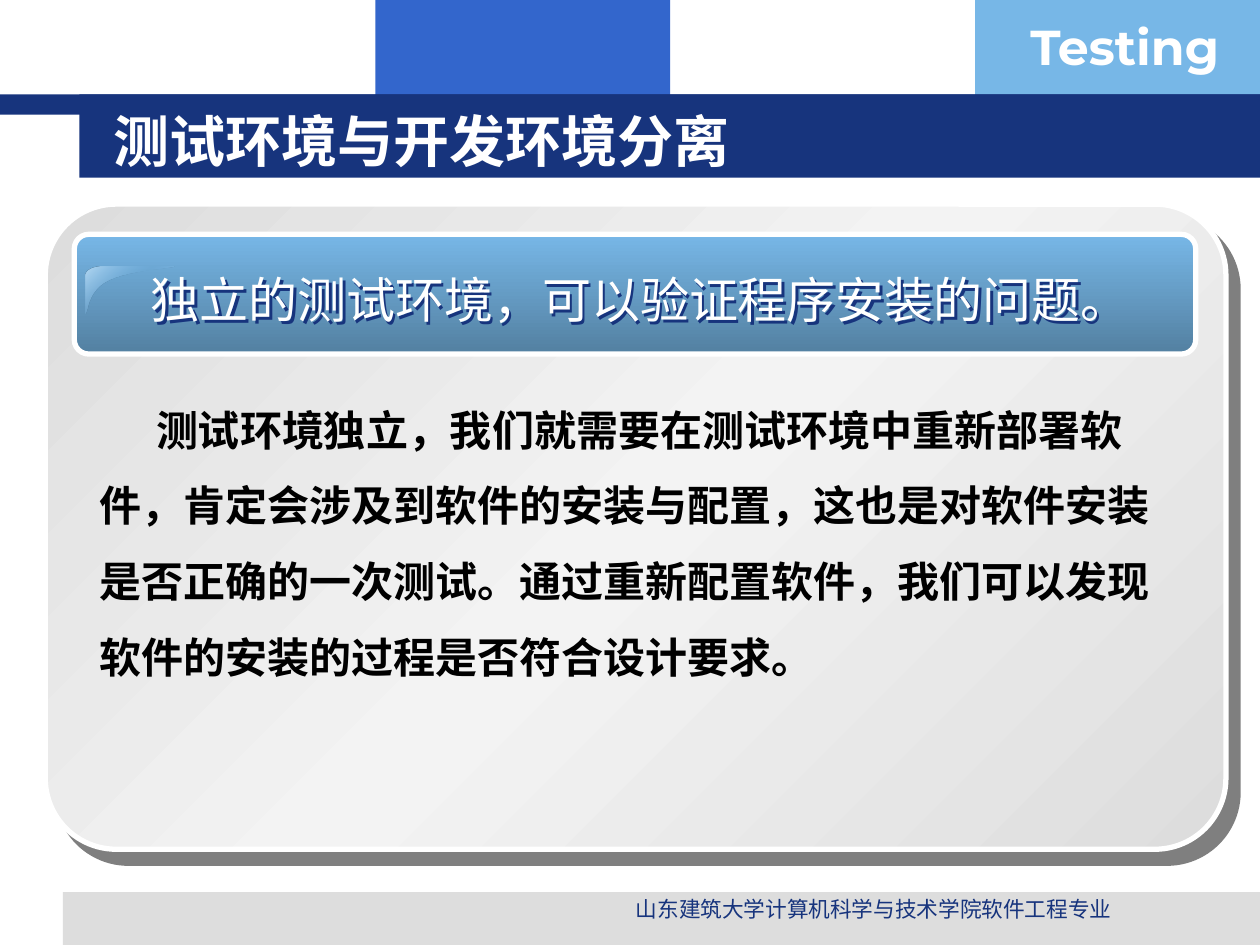
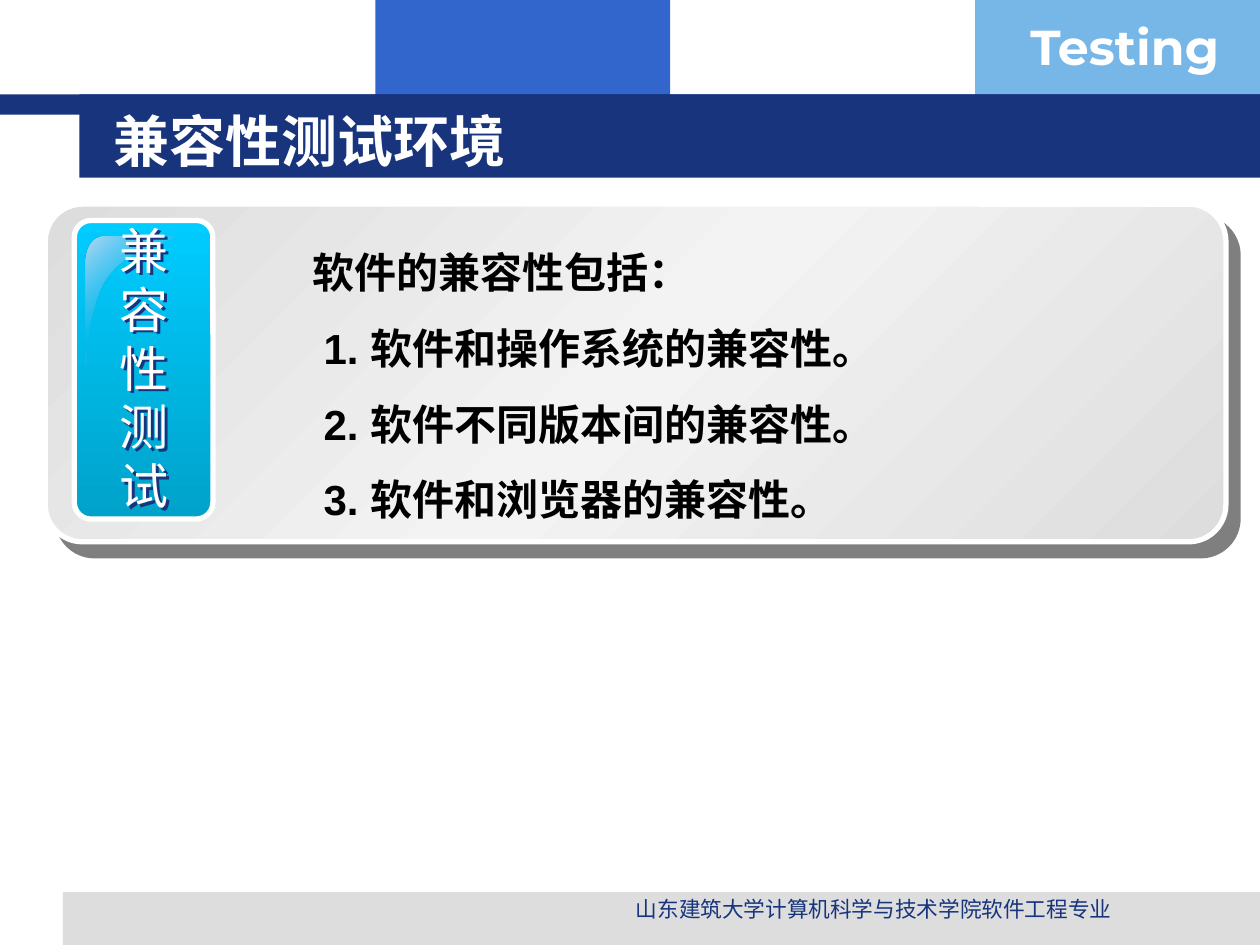
from lxml import etree
from pptx import Presentation
from pptx.dml.color import RGBColor
from pptx.enum.shapes import MSO_SHAPE
from pptx.enum.text import MSO_ANCHOR, MSO_AUTO_SIZE, PP_ALIGN
from pptx.oxml.ns import qn
from pptx.util import Inches, Pt

LEFT, CENTER = PP_ALIGN.LEFT, PP_ALIGN.CENTER
TOP, MIDDLE = MSO_ANCHOR.TOP, MSO_ANCHOR.MIDDLE
RECTANGLE, ROUNDED = MSO_SHAPE.RECTANGLE, MSO_SHAPE.ROUNDED_RECTANGLE

WIDTH, HEIGHT = 10, 7.5
COLORS = {
    "white": "FFFFFF", "black": "000000", "navy": "17347D", "blue": "3366CC",
    "sky": "77B7E7", "steel": "5380A1", "cyan": "00CCFF", "teal": "00A2CA",
    "gray": "DDDDDD", "pale": "F3F3F3", "gloss": "B5D8F2",
}
TITLE_FONT, BODY_FONT, LABEL_FONT = "DejaVu Sans", "Arial", "Montserrat"

# Shared parts: left, top, width, height in inches
BANDS = [
    ("blue", (2.98, 0, 2.34, 0.92)),
    ("sky", (7.74, 0, WIDTH - 7.74, 0.92)),
    ("gray", (0.5, 7.08, WIDTH - 0.5, HEIGHT - 7.08)),
    ("navy", (0, 0.75, WIDTH, 0.16)),
    ("navy", (0.63, 0.75, WIDTH - 0.63, 0.66)),
]
TITLE_AREA = (0.8, 0.8, 8.53, 0.62)
LABEL, LABEL_AREA = "Testing", (8.08, 0.08, 1.93, 0.57)
FOOTER, FOOTER_AREA = "山东建筑大学计算机科学与技术学院软件工程专业", (4.06, 7.06, 5.75, 0.31)
PANEL_LEFT, PANEL_TOP, PANEL_WIDTH = 0.36, 1.62, 9.37
BADGE_LEFT, GLOSS_LEFT, GLOSS_WIDTH = 0.59, 0.68, 0.71

# Body lines: text, first-line indent
SLIDES = [
    {
        "title": "测试环境与开发环境分离",
        "panel_height": 5.12,
        "badge": (1.86, 8.9, 0.95), "badge_colors": ("sky", "steel"),
        "gloss": (2.12, 0.37),
        "heading": "独立的测试环境，可以验证程序安装的问题。",
        "heading_area": (0.67, 2.09, 8.82, 0.57),
        "body_area": (0.69, 2.96, 8.8, 2.5),
        "body": [(
            "测试环境独立，我们就需要在测试环境中重新部署软件，"
            "肯定会涉及到软件的安装与配置，这也是对软件安装是否正确的一次测试。"
            "通过重新配置软件，我们可以发现软件的安装的过程是否符合设计要求。",
            0.45)],
    },
    {
        "title": "兼容性测试环境",
        "panel_height": 2.68,
        "badge": (1.75, 1.1, 2.37), "badge_colors": ("cyan", "teal"),
        "gloss": (1.88, 1.05),
        "heading": "兼容性测试",
        "heading_area": (0.83, 1.7, 0.63, 2.44),
        "body_area": (2.01, 1.71, 6.54, 2.5),
        "body": [
            ("软件的兼容性包括：", 0.37),
            ("1. 软件和操作系统的兼容性。", 0.46),
            ("2. 软件不同版本间的兼容性。", 0.46),
            ("3. 软件和浏览器的兼容性。", 0.46),
        ],
    },
]

# Gloss outline as shares of its box: a start point, then cubic curves
GLOSS_START = (0.2, 0)
GLOSS_CURVES = [
    ((0.08, 0), (0, 0.09), (0, 0.2)),
    ((0, 0.46), (0, 0.73), (0, 0.99)),
    ((0.04, 1), (0.01, 0.51), (0.27, 0.29)),
    ((0.52, 0.07), (1, 0.05), (0.99, 0)),
]
CURVE_STEPS = 12


def inches(area):
    return [Inches(value) for value in area]


def rgb(color):
    return RGBColor.from_string(COLORS[color])


def add_color(parent, color, opacity=100):
    node = etree.SubElement(parent, qn("a:srgbClr"), val=COLORS[color])
    if opacity < 100:
        etree.SubElement(node, qn("a:alpha"), val=str(opacity * 1000))


def fill_gradient(shape, stops, angle):
    """Fill with (position, color, opacity) stops."""
    shape.fill.gradient()
    gradient = shape.element.spPr.find(qn("a:gradFill"))
    for child in list(gradient):
        gradient.remove(child)
    stop_list = etree.SubElement(gradient, qn("a:gsLst"))
    for position, color, opacity in stops:
        stop = etree.SubElement(stop_list, qn("a:gs"), pos=str(position * 1000))
        add_color(stop, color, opacity)
    etree.SubElement(gradient, qn("a:lin"), ang=str(angle * 60000), scaled="1")


def cast_shadow(shape, color, opacity, distance, angle):
    shape.shadow.inherit = False
    effects = shape.element.spPr.find(qn("a:effectLst"))
    shadow = etree.SubElement(
        effects, qn("a:outerShdw"), dist=str(Pt(distance)),
        dir=str(angle * 60000), algn="ctr", rotWithShape="0")
    add_color(shadow, color, opacity)


def add_band(slide, color, area):
    band = slide.shapes.add_shape(RECTANGLE, *inches(area))
    band.shadow.inherit = False
    band.fill.solid()
    band.fill.fore_color.rgb = rgb(color)
    band.line.fill.background()


def add_rounded(slide, area, ratio, stops, angle):
    box = slide.shapes.add_shape(ROUNDED, *inches(area))
    box.adjustments[0] = ratio
    box.shadow.inherit = False
    fill_gradient(box, stops, angle)
    box.line.color.rgb = rgb("white")
    box.line.width = Pt(3)
    return box


def add_gloss(slide, top, height):
    def place(point):
        return (Inches(GLOSS_LEFT + point[0] * GLOSS_WIDTH),
                Inches(top + point[1] * height))

    points, start = [], GLOSS_START
    for first, second, end in GLOSS_CURVES:
        for step in range(1, CURVE_STEPS + 1):
            t = step / CURVE_STEPS
            u = 1 - t
            points.append(place([
                u**3 * a + 3 * u * u * t * b + 3 * u * t * t * c + t**3 * d
                for a, b, c, d in zip(start, first, second, end)]))
        start = end
    builder = slide.shapes.build_freeform(*place(GLOSS_START))
    builder.add_line_segments(points, close=True)
    gloss = builder.convert_to_shape()
    gloss.shadow.inherit = False
    gloss.line.fill.background()
    fill_gradient(gloss, [(0, "gloss", 100), (50, "sky", 0), (100, "gloss", 100)], 45)


def style_text(box, font, size, color, bold=False, align=LEFT, anchor=TOP):
    frame = box.text_frame
    frame.word_wrap = True
    frame.auto_size = MSO_AUTO_SIZE.NONE
    frame.vertical_anchor = anchor
    for paragraph in frame.paragraphs:
        paragraph.alignment = align
        for span in paragraph.runs:
            span.font.name = font
            span.font.size = Pt(size)
            span.font.bold = bold
            span.font.color.rgb = rgb(color)


def add_text(slide, area, text, *style, **options):
    box = slide.shapes.add_textbox(*inches(area))
    box.text_frame.text = text
    style_text(box, *style, **options)
    return box


def add_body(slide, area, lines):
    """Add bold lines, each with its own indent and no hanging punctuation."""
    box = add_text(slide, area, "\n".join(text for text, _ in lines),
                   BODY_FONT, 24, "black", bold=True)
    for paragraph, (_, indent) in zip(box.text_frame.paragraphs, lines):
        paragraph.line_spacing = 1.5
        properties = paragraph._p.get_or_add_pPr()
        properties.set("marL", "0")
        properties.set("indent", str(Inches(indent)))
        properties.set("hangingPunct", "0")


def add_frame(slide, title_text):
    """Add the bands, label, footer and title that every slide has."""
    for color, area in BANDS:
        add_band(slide, color, area)
    add_text(slide, LABEL_AREA, LABEL, LABEL_FONT, 28, "white", bold=True)
    add_text(slide, FOOTER_AREA, FOOTER, BODY_FONT, 12.4, "navy", align=CENTER)
    title = slide.shapes.title
    title.element.getparent().append(title.element)
    title.left, title.top, title.width, title.height = inches(TITLE_AREA)
    title.text_frame.text = title_text
    style_text(title, TITLE_FONT, 32, "white", bold=True, anchor=MIDDLE)


def add_content(slide, content):
    panel = add_rounded(
        slide, (PANEL_LEFT, PANEL_TOP, PANEL_WIDTH, content["panel_height"]), 0.11,
        [(0, "gray", 100), (50, "pale", 100), (100, "gray", 100)], 45)
    cast_shadow(panel, "black", 50, 10.6, 49)
    start, end = content["badge_colors"]
    add_rounded(slide, (BADGE_LEFT, *content["badge"]), 0.12,
                [(0, start, 100), (100, end, 100)], 90)
    add_gloss(slide, *content["gloss"])
    heading = add_text(slide, content["heading_area"], content["heading"],
                       BODY_FONT, 28, "white", align=CENTER)
    cast_shadow(heading, "navy", 100, 2, 45)
    add_body(slide, content["body_area"], content["body"])


def main():
    deck = Presentation()
    deck.slide_width, deck.slide_height = Inches(WIDTH), Inches(HEIGHT)
    title_only = deck.slide_layouts[5]
    for content in SLIDES:
        slide = deck.slides.add_slide(title_only)
        add_frame(slide, content["title"])
        add_content(slide, content)
    deck.save("out.pptx")


if __name__ == "__main__":
    main()
